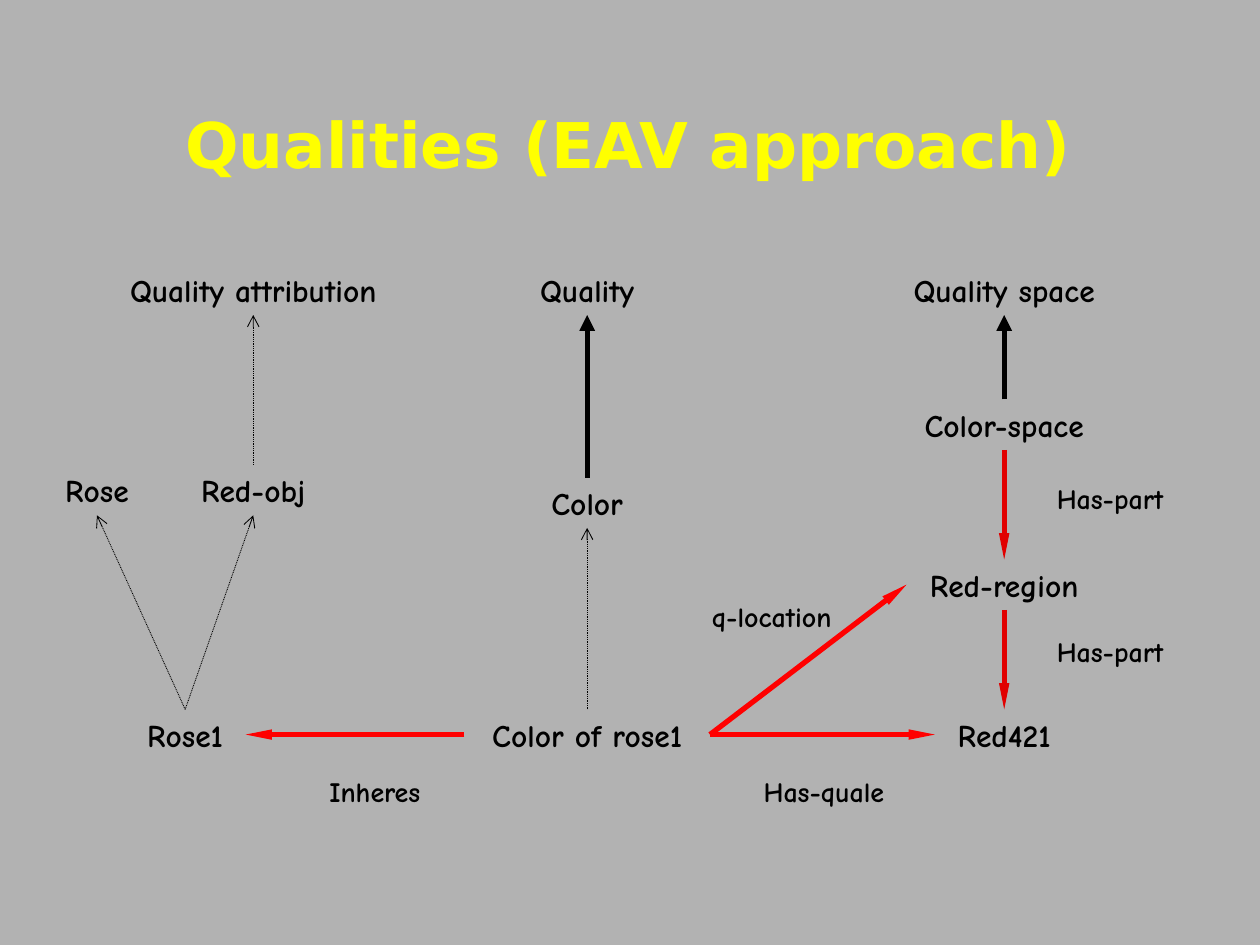
from lxml.etree import SubElement
from pptx import Presentation
from pptx.dml.color import RGBColor
from pptx.enum.dml import MSO_LINE
from pptx.enum.shapes import MSO_CONNECTOR
from pptx.enum.text import MSO_ANCHOR, MSO_AUTO_SIZE, PP_ALIGN
from pptx.oxml.ns import qn
from pptx.util import Inches, Pt

GREY = RGBColor(0xB2, 0xB2, 0xB2)
YELLOW = RGBColor(0xFF, 0xFF, 0x00)
BLACK = RGBColor(0x00, 0x00, 0x00)
RED = RGBColor(0xFF, 0x00, 0x00)
DARK_RED = RGBColor(0xE1, 0x00, 0x00)

TITLE = "Qualities (EAV approach)"
COLS = {"rose": 0.77, "rose1": 1.47, "object": 2.01, "quality": 4.66, "space": 7.97}
ROWS = {"top": 2.1, "space": 3.17, "class": 3.69, "color": 3.79, "region": 4.44, "instance": 5.63}
NODE_H, LABEL_H = 0.4, 0.37
START_GAP, END_GAP = 0.12, 0.08
SLACK = 0.1

NODES = [
    ("Quality attribution", "object", "top", 2.15),
    ("Quality", "quality", "top", 0.94),
    ("Quality space", "space", "top", 1.64),
    ("Color-space", "space", "space", 1.47),
    ("Rose", "rose", "class", 0.7),
    ("Red-obj", "object", "class", 1.02),
    ("Color", "quality", "color", 0.77),
    ("Red-region", "space", "region", 1.39),
    ("Rose1", "rose1", "instance", 0.8),
    ("Color of rose1", "quality", "instance", 1.71),
    ("Red421", "space", "instance", 0.94),
]
LABELS = [
    ("Inheres", 2.46, 6.1, 1.03),
    ("Has-quale", 5.96, 6.1, 1.16),
    ("q-location", 5.55, 4.71, 1.15),
    ("Has-part", 8.29, 3.77, 1.04),
    ("Has-part", 8.29, 4.99, 1.04),
]
STYLES = {
    "instance": (BLACK, 0.5, MSO_LINE.ROUND_DOT, "arrow", "med", "med"),
    "subclass": (BLACK, 3, None, "triangle", "med", "med"),
    "part": (DARK_RED, 3, None, "triangle", "sm", "lg"),
    "relation": (RED, 3, None, "triangle", "sm", "lg"),
}
ARROWS = [
    ("Rose1", "Rose", "up", "instance"),
    ("Rose1", "Red-obj", "up", "instance"),
    ("Red-obj", "Quality attribution", "up", "instance"),
    ("Color of rose1", "Color", "up", "instance"),
    ("Color", "Quality", "up", "subclass"),
    ("Color-space", "Quality space", "up", "subclass"),
    ("Color-space", "Red-region", "down", "part"),
    ("Red-region", "Red421", "down", "part"),
    ("Color of rose1", "Rose1", "left", "relation"),
    ("Color of rose1", "Red421", "right", "relation"),
    ("Color of rose1", "Red-region", "right", "relation"),
]
OPPOSITE = {"up": "down", "down": "up", "left": "right", "right": "left"}


def write(tf, text, font, size, color):
    p = tf.paragraphs[0]
    p.alignment = PP_ALIGN.CENTER
    r = p.add_run()
    r.text = text
    r.font.name, r.font.size, r.font.bold = font, Pt(size), True
    r.font.color.rgb = color
    return p


def add_text(slide, text, x, y, w, h, size):
    box = [Inches(v) for v in (x - SLACK / 2, y, w + SLACK, h)]
    tf = slide.shapes.add_textbox(*box).text_frame
    tf.word_wrap = False
    tf.auto_size = MSO_AUTO_SIZE.SHAPE_TO_FIT_TEXT
    write(tf, text, "Comic Neue", size, BLACK)


def side_point(node, side, gap):
    name, col, row, width = node
    x, y = COLS[col], ROWS[row]
    return {
        "up": (x, y),
        "down": (x, y + NODE_H),
        "left": (x - width / 2 - gap, y + NODE_H / 2),
        "right": (x + width / 2 + gap, y + NODE_H / 2),
    }[side]


def add_arrow(slide, start, end, style):
    color, weight, dash, head, head_w, head_len = STYLES[style]
    ends = [Inches(v) for v in start + end]
    s = slide.shapes.add_connector(MSO_CONNECTOR.STRAIGHT, *ends)
    s.line.color.rgb = color
    s.line.width = Pt(weight)
    if dash:
        s.line.dash_style = dash
    SubElement(s.line._get_or_add_ln(), qn("a:tailEnd"), type=head, w=head_w, len=head_len)
    SubElement(s._element.spPr, qn("a:effectLst"))


def main():
    prs = Presentation()
    prs.slide_width, prs.slide_height = Inches(10), Inches(7.5)
    slide = prs.slides.add_slide(prs.slide_layouts[5])
    slide.background.fill.solid()
    slide.background.fill.fore_color.rgb = GREY

    title = slide.shapes.title
    title.left, title.top = Inches(0.75), Inches(0.57)
    title.width, title.height = Inches(8.47), Inches(1.07)
    tf = title.text_frame
    tf.auto_size = MSO_AUTO_SIZE.NONE
    tf.vertical_anchor = MSO_ANCHOR.MIDDLE
    write(tf, TITLE, "DejaVu Sans", 36, YELLOW).line_spacing = 1.12

    for name, col, row, w in NODES:
        add_text(slide, name, COLS[col] - w / 2, ROWS[row], w, NODE_H, 18)
    for text, x, y, w in LABELS:
        add_text(slide, text, x, y, w, LABEL_H, 16)

    by_name = {node[0]: node for node in NODES}
    for source, target, side, style in ARROWS:
        start = side_point(by_name[source], side, START_GAP)
        end = side_point(by_name[target], OPPOSITE[side], END_GAP)
        add_arrow(slide, start, end, style)

    prs.save("out.pptx")


if __name__ == "__main__":
    main()
